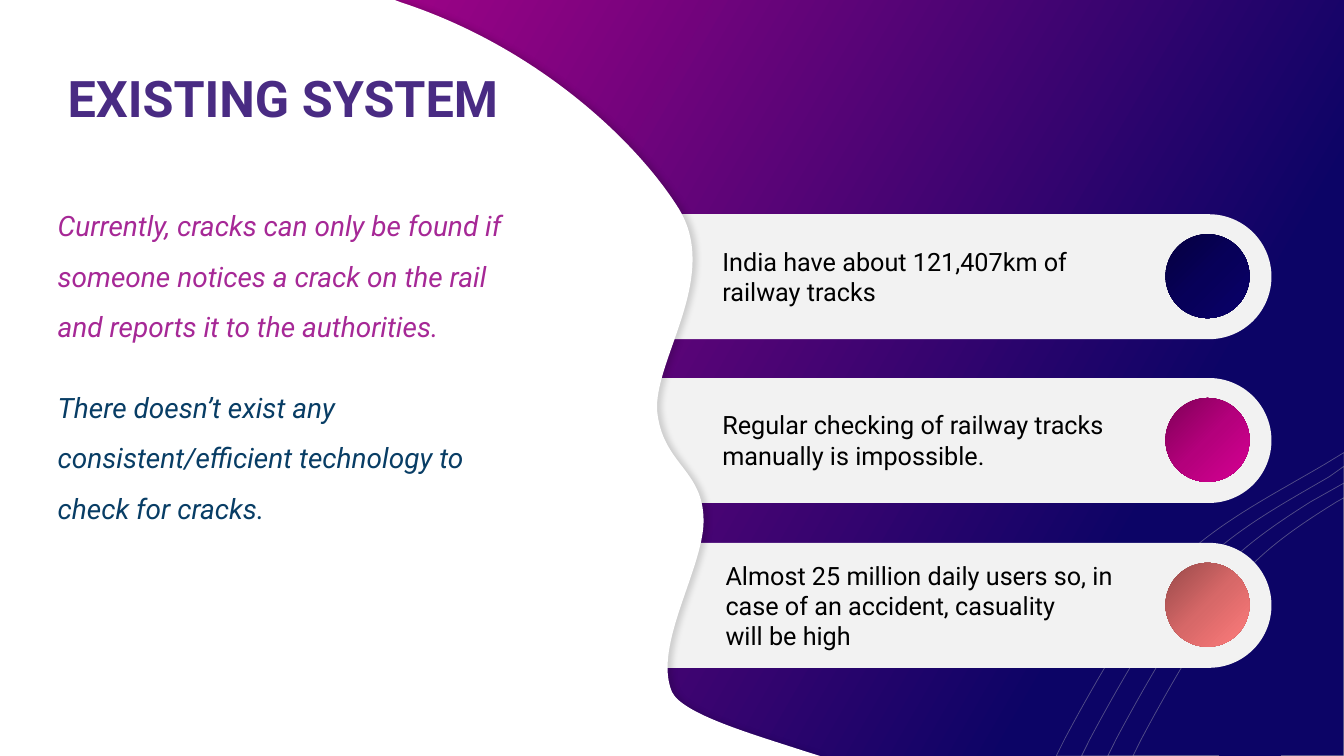
from copy import deepcopy

from lxml.etree import SubElement
from pptx import Presentation
from pptx.dml.color import RGBColor
from pptx.enum.shapes import MSO_SHAPE as Shape
from pptx.enum.text import MSO_ANCHOR as Anchor, MSO_AUTO_SIZE as AutoSize
from pptx.oxml.ns import qn
from pptx.util import Pt

EMU_PER_PX = 9525
SLIDE_WIDTH, SLIDE_HEIGHT = 1280, 720

BLACK = RGBColor(0x00, 0x00, 0x00)
WHITE = RGBColor(0xFF, 0xFF, 0xFF)
PALE_GREY = RGBColor(0xF2, 0xF2, 0xF2)
LINE_GREY = RGBColor(0xBF, 0xBF, 0xBF)
NAVY = RGBColor(0x0C, 0x04, 0x66)
MAGENTA = RGBColor(0xD3, 0x03, 0x92)
TITLE_PURPLE = RGBColor(0x49, 0x2B, 0x83)
BODY_PURPLE = RGBColor(0xA6, 0x28, 0x96)
BODY_BLUE = RGBColor(0x08, 0x3D, 0x65)
NAVY_SHADES = (RGBColor(0x05, 0x00, 0x3F), RGBColor(0x07, 0x00, 0x59), RGBColor(0x09, 0x00, 0x6A))
PINK_SHADES = (RGBColor(0x7F, 0x00, 0x57), RGBColor(0xB4, 0x00, 0x7C), RGBColor(0xD6, 0x00, 0x93))
CORAL_SHADES = (RGBColor(0x97, 0x49, 0x49), RGBColor(0xD7, 0x68, 0x68), RGBColor(0xFF, 0x7C, 0x7C))

FACTS = [
    (688, 2, ["India have about 121,407km of railway tracks"], NAVY_SHADES),
    (688, 2, ["Regular checking of railway tracks manually is impossible."], PINK_SHADES),
    (691, 3, ["Almost 25 million daily users so, in case of an accident, casuality",
              "will be high"], CORAL_SHADES),
]
STATEMENTS = [
    (183, "Currently, cracks can only be found if someone notices a crack on the rail "
          "and reports it to the authorities.", BODY_PURPLE),
    (356, "There doesn’t exist any consistent/efficient technology to check for cracks.", BODY_BLUE),
]
WAVE = [
    (0, 0), (376, 0), (381, 2),
    (510, 44, 605, 133, 646, 198),
    (687, 263, 622, 343, 626, 392),
    (631, 441, 668, 447, 670, 492),
    (673, 537, 621, 614, 640, 659),
    (650, 680, 716, 699, 765, 715),
    (781, 720), (0, 720),
]
ARCS = [
    (1055, 460, (1166, 532, 1207, 504, 1248, 478)),
    (1079, 474, (1190, 532, 1231, 504, 1273, 478)),
    (1006, 431, (1130, 512, 1201, 478, 1262, 442)),
    (1030, 444, (1150, 518, 1211, 486, 1266, 454)),
]
PILL_TOP, PILL_HEIGHT, PILL_PITCH = 204, 119, 156.5
DOT_SIZE, FACT_LINE = 80, 29


def px(*lengths):
    """Turn px lengths into EMU."""
    return [round(length * EMU_PER_PX) for length in lengths]


class SlideBuilder:
    """Draw styled elements on the current slide."""

    font_name = "Roboto"

    def __init__(self, slide):
        """Keep the slide to draw on."""
        self.slide = slide

    def gradient(self, fill, element, stops, angle):
        """Fill with (position, colour) stops along a clockwise angle."""
        fill.gradient()
        fill.gradient_angle = 360 - angle
        stop_list = element.xpath(".//a:gsLst")[0]
        for _ in stops[2:]:
            stop_list.append(deepcopy(stop_list[0]))
        for stop, (position, colour) in zip(fill.gradient_stops, stops):
            stop.position = position
            stop.color.rgb = colour

    def background(self, stops, angle):
        """Give the slide a gradient background."""
        self.gradient(self.slide.background.fill, self.slide._element, stops, angle)

    def shape(self, kind, box, colour=None, shades=None, adjustments=()):
        """Add a preset shape in one colour or in gradient shades."""
        shape = self.slide.shapes.add_shape(kind, *px(*box))
        shape.shadow.inherit = False
        shape.line.fill.background()
        for index, value in enumerate(adjustments):
            shape.adjustments[index] = value
        if shades:
            self.gradient(shape.fill, shape._element, list(zip((0, 0.5, 1), shades)), 45)
        else:
            shape.fill.solid()
            shape.fill.fore_color.rgb = colour

    def outline(self, segments):
        """Add a closed outline of points and six-number Bézier curves."""
        points = [pair for segment in segments for pair in zip(segment[::2], segment[1::2])]
        builder = self.slide.shapes.build_freeform(*points[0], scale=EMU_PER_PX)
        builder.add_line_segments(points[1:], close=True)
        shape = builder.convert_to_shape()
        shape.shadow.inherit = False
        steps = iter(shape._element.xpath(".//a:lnTo"))
        for segment in segments[1:]:
            step = next(steps)
            if len(segment) == 6:
                step.tag = qn("a:cubicBezTo")
                for _ in range(2):
                    extra = next(steps)
                    step.append(extra[0])
                    extra.getparent().remove(extra)
        return shape

    def arc(self, segments):
        """Add a thin translucent outline without fill."""
        shape = self.outline(segments)
        shape.fill.background()
        shape.line.color.rgb = LINE_GREY
        shape.line.width = Pt(0.5)
        colour = shape._element.xpath(".//a:ln//a:srgbClr")[0]
        SubElement(colour, qn("a:alpha"), val="40000")

    def wave(self, segments):
        """Add a white panel with a soft shadow to its right."""
        shape = self.outline(segments)
        shape.fill.solid()
        shape.fill.fore_color.rgb = WHITE
        shape.line.fill.background()
        effects = shape._element.xpath(".//a:effectLst")[0]
        shadow = SubElement(effects, qn("a:outerShdw"), blurRad=str(Pt(4)), dist=str(Pt(3)),
                            dir="0", algn="l", rotWithShape="0")
        colour = SubElement(shadow, qn("a:srgbClr"), val=str(BLACK))
        SubElement(colour, qn("a:alpha"), val="15000")

    def text(self, box, lines, colour, frame_format, font_format, line_spacing=None):
        """Add a wrapped text box with one paragraph per line."""
        frame = self.slide.shapes.add_textbox(*px(*box)).text_frame
        for name, value in {"word_wrap": True, **frame_format}.items():
            setattr(frame, name, value)
        frame.text = "\n".join(lines)
        for paragraph in frame.paragraphs:
            paragraph.line_spacing = line_spacing
            font = paragraph.runs[0].font
            font.color.rgb = colour
            for name, value in {"name": self.font_name, **font_format}.items():
                setattr(font, name, value)


def main():
    """Build and save the slide."""
    presentation = Presentation()
    presentation.slide_width, presentation.slide_height = px(SLIDE_WIDTH, SLIDE_HEIGHT)
    builder = SlideBuilder(presentation.slides.add_slide(presentation.slide_layouts[6]))
    builder.background([(0, MAGENTA), (0.81, NAVY)], 30)

    for foot, top, bend in ARCS:
        builder.arc([
            (SLIDE_WIDTH, top), (SLIDE_WIDTH, SLIDE_HEIGHT), (foot, SLIDE_HEIGHT), (foot + 8, 704),
            (foot + 35, 653, foot + 63, 607, foot + 85, 573), bend,
        ])

    margins = ("margin_left", "margin_top", "margin_right", "margin_bottom")
    tight = {**dict.fromkeys(margins, 0), "auto_size": AutoSize.SHAPE_TO_FIT_TEXT}
    middle = {"vertical_anchor": Anchor.MIDDLE}
    for index, (left, line_count, lines, shades) in enumerate(FACTS):
        top = PILL_TOP + int(index * PILL_PITCH)
        height = line_count * FACT_LINE
        builder.shape(Shape.ROUNDED_RECTANGLE, (566, top, 645, PILL_HEIGHT), PALE_GREY,
                      adjustments=(0.5,))
        builder.shape(Shape.OVAL, (1110, top + (PILL_HEIGHT - DOT_SIZE) // 2, DOT_SIZE, DOT_SIZE),
                      shades=shades)
        builder.text((left, top + (PILL_HEIGHT - height) // 2, 396, height), lines, BLACK,
                     {**tight, **middle}, {"size": Pt(18)})

    builder.wave(WAVE)
    builder.text((55, 48, 445, 89), ["EXISTING SYSTEM"], TITLE_PURPLE, middle,
                 {"size": Pt(36), "bold": True})
    builder.shape(Shape.ROUND_2_SAME_RECTANGLE, (1161, 706, 59, 14), NAVY, adjustments=(0.5, 0))
    for top, statement, colour in STATEMENTS:
        builder.text((55, top, 445, 139), [statement], colour, tight,
                     {"size": Pt(20), "italic": True}, line_spacing=1.5)

    presentation.save("out.pptx")


if __name__ == "__main__":
    main()
